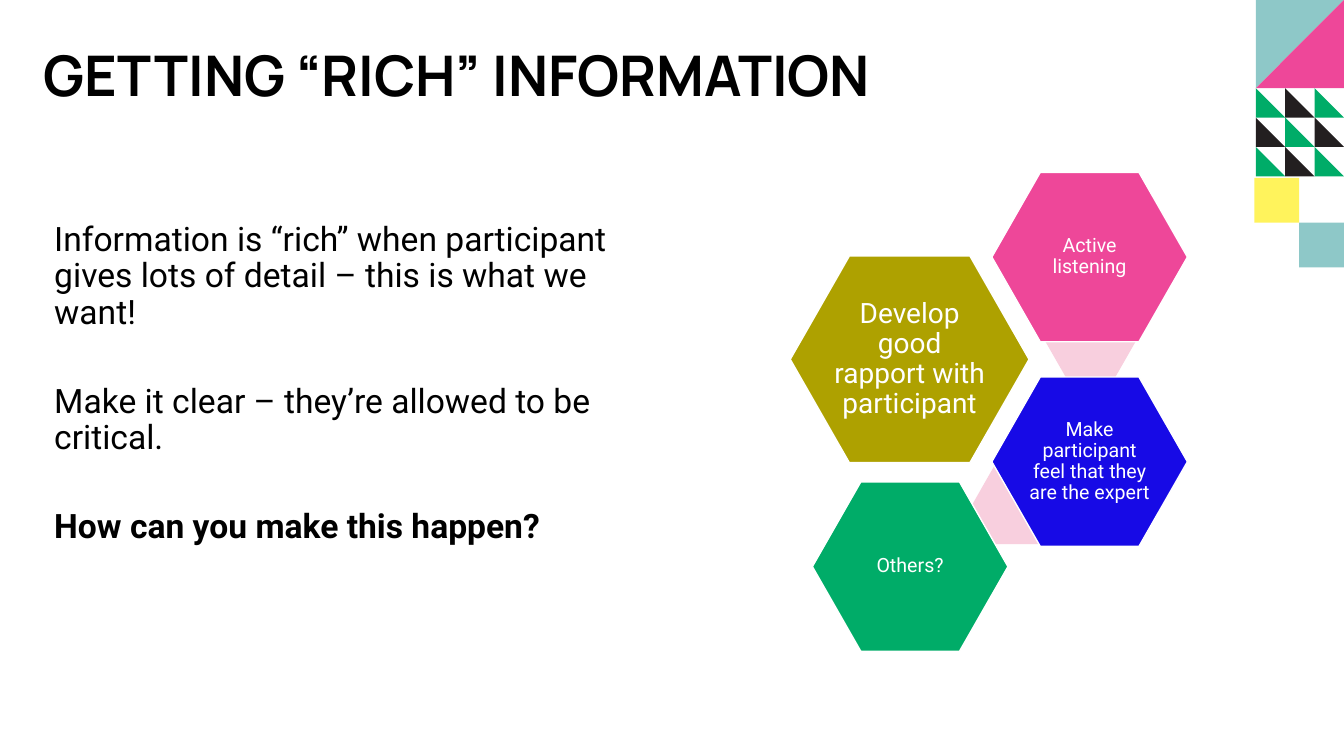
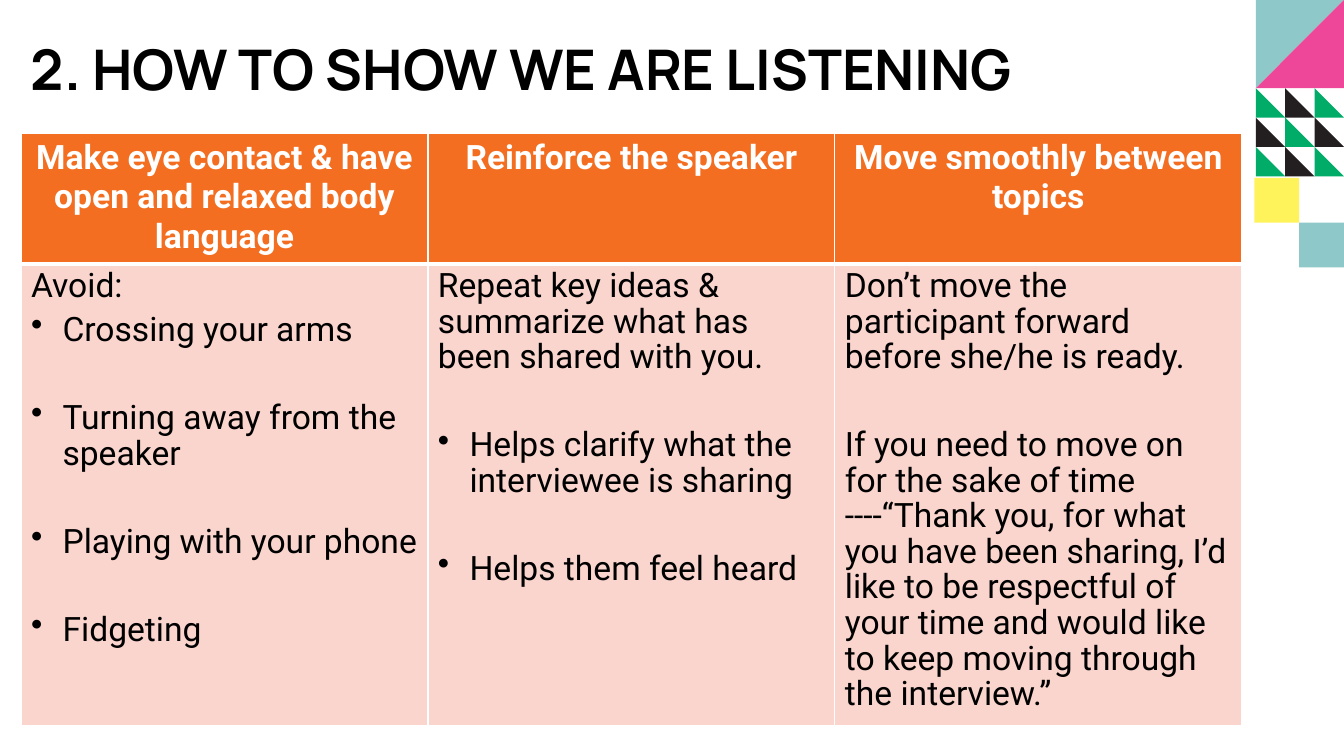
from itertools import product

from lxml import etree
from pptx import Presentation
from pptx.dml.color import RGBColor
from pptx.enum.shapes import MSO_SHAPE
from pptx.enum.text import MSO_ANCHOR as ANCHOR, PP_ALIGN as ALIGN
from pptx.oxml.ns import qn
from pptx.util import Pt

BLACK = RGBColor(0x00, 0x00, 0x00)
WHITE = RGBColor(0xFF, 0xFF, 0xFF)
INK = RGBColor(0x23, 0x1F, 0x20)
TEAL = RGBColor(0x8E, 0xC8, 0xC8)
PINK = RGBColor(0xEE, 0x47, 0x99)
PALE_PINK = RGBColor(0xF8, 0xCF, 0xDE)
GREEN = RGBColor(0x00, 0xAC, 0x68)
YELLOW = RGBColor(0xFF, 0xF3, 0x5C)
OLIVE = RGBColor(0xAE, 0xA1, 0x00)
BLUE = RGBColor(0x17, 0x0A, 0xE6)
ORANGE = RGBColor(0xF3, 0x6E, 0x20)
PEACH = RGBColor(0xFA, 0xD5, 0xCD)

TITLE_FONT, BODY_FONT = "Manrope", "Roboto"
SLIDE_W, SLIDE_H = 960, 540
INDENT = 22.5
TIGHT, LOOSE = 5, 36.5  # space after a paragraph

# Each paragraph is (text, format that differs from its block)
BULLET = {"bullet": True}
RICH_TITLE = "GETTING “RICH” INFORMATION"
RICH_BODY = [
    ("Information is “rich” when participant gives lots of detail – this is what we want!", {}),
    ("Make it clear – they’re allowed to be critical.", {}),
    ("How can you make this happen?", {"bold": True}),
]
LARGE, SMALL, LINK = (170.6, 147.6), (139.7, 121), (64.8, 55.4)
# left, top, size, colour, text, text size; links lie under the hexagons
HEXAGONS = [
    (746.6, 216, LINK, PALE_PINK, None, None),
    (694.1, 333.4, LINK, PALE_PINK, None, None),
    (564.5, 182.9, LARGE, OLIVE, "Develop good rapport with participant", 20),
    (708.5, 123.1, SMALL, PINK, "Active listening", 14),
    (708.5, 269.3, SMALL, BLUE, "Make participant feel that they are the expert", 14),
    (580.3, 344.2, SMALL, GREEN, "Others?", 14),
]

LISTENING_TITLE = "2. HOW TO SHOW WE ARE LISTENING"
LISTENING = [
    ("Make eye contact & have open and relaxed body language", [
        ("Avoid:", {"after": TIGHT}),
        ("Crossing your arms", BULLET),
        ("Turning away from the speaker", BULLET),
        ("Playing with your phone", BULLET),
        ("Fidgeting", {"bullet": True, "after": TIGHT}),
    ]),
    ("Reinforce the speaker", [
        ("Repeat key ideas & summarize what has been shared with you.", {}),
        ("Helps clarify what the interviewee is sharing", BULLET),
        ("Helps them feel heard", {"bullet": True, "after": TIGHT}),
    ]),
    ("Move smoothly between topics", [
        ("Don’t move the participant forward before she/he is ready.", {}),
        ("If you need to move on for the sake of time ----“Thank you, for what you have "
         "been sharing, I’d like to be respectful of your time and would like to keep "
         "moving through the interview.”", {"after": TIGHT}),
    ]),
]
TABLE_LEFT, TABLE_TOP, TABLE_W = 15, 95, 872
ROW_HEIGHTS = (92.2, 317.5)


def write(p, text, size=24, font=BODY_FONT, color=BLACK, bold=False, align=ALIGN.LEFT,
          spacing=0.9, before=0, after=0, bullet=False):
    p.alignment, p.line_spacing = align, spacing
    p.space_before, p.space_after = Pt(before), Pt(after)
    if bullet:
        pPr = p._p.get_or_add_pPr()
        pPr.set("marL", str(Pt(INDENT)))
        pPr.set("indent", str(-Pt(INDENT)))
        etree.SubElement(pPr, qn("a:buChar")).set("char", "•")
    r = p.add_run()
    r.text = text
    r.font.name, r.font.size, r.font.bold = font, Pt(size), bold
    r.font.color.rgb = color


def write_body(tf, paragraphs):
    for i, (text, fmt) in enumerate(paragraphs):
        p = tf.add_paragraph() if i else tf.paragraphs[0]
        write(p, text, **{"before": 1, "after": LOOSE, **fmt})


def add_text_box(slide, x, y, w, h, anchor=ANCHOR.TOP):
    tf = slide.shapes.add_textbox(Pt(x), Pt(y), Pt(w), Pt(h)).text_frame
    tf.word_wrap, tf.vertical_anchor = True, anchor
    return tf


def paint(sp, color, line=None):
    sp.shadow.inherit = False
    sp.fill.solid()
    sp.fill.fore_color.rgb = color
    if line is None:
        sp.line.fill.background()
    else:
        sp.line.color.rgb, sp.line.width = line, Pt(1)


def add_polygon(slide, color, *points):
    builder = slide.shapes.build_freeform(*points[0], scale=Pt(1))
    builder.add_line_segments(points[1:], close=True)
    paint(builder.convert_to_shape(), color)


def add_corner_pattern(slide):
    side, cell, square = 63, 21, 32
    left, right = SLIDE_W - side, SLIDE_W
    add_polygon(slide, TEAL, (left, 0), (left, side), (right, 0))
    add_polygon(slide, PINK, (left, side), (right, side), (right, 0))
    for row, col in product(range(3), repeat=2):
        x, y = left + col * cell, side + row * cell
        color = INK if (row + col) % 2 else GREEN
        add_polygon(slide, color, (x, y), (x, y + cell), (x + cell, y + cell))
    for i, color in enumerate((YELLOW, TEAL)):
        x, y = right - (2 - i) * square, 2 * side + 1 + i * square
        sp = slide.shapes.add_shape(MSO_SHAPE.RECTANGLE, Pt(x), Pt(y), Pt(square), Pt(square))
        paint(sp, color)


def add_slide(prs, title, x, y, w, h):
    slide = prs.slides.add_slide(prs.slide_layouts[6])
    add_corner_pattern(slide)
    tf = add_text_box(slide, x, y, w, h, ANCHOR.BOTTOM)
    write(tf.paragraphs[0], title, size=40, font=TITLE_FONT, bold=True)
    return slide


def add_hexagon(slide, x, y, size, color, text, text_size):
    w, h = size
    sp = slide.shapes.add_shape(MSO_SHAPE.HEXAGON, Pt(x), Pt(y), Pt(w), Pt(h))
    sp.adjustments[0] = 0.286
    paint(sp, color, WHITE if text else None)
    if text:
        tf = sp.text_frame
        tf.word_wrap, tf.vertical_anchor = True, ANCHOR.MIDDLE
        tf.margin_left = tf.margin_right = tf.margin_top = tf.margin_bottom = Pt(2)
        write(tf.paragraphs[0], text, size=text_size, color=WHITE, align=ALIGN.CENTER)


def style_cell(cell, color, top, bottom):
    """Border the cell in white, then fill it: the XML needs this order."""
    tcPr = cell._tc.get_or_add_tcPr()
    for edge, width in (("L", 1), ("R", 1), ("T", top), ("B", bottom)):
        ln = etree.SubElement(tcPr, qn(f"a:ln{edge}"), w=str(Pt(width)))
        fill = etree.SubElement(ln, qn("a:solidFill"))
        etree.SubElement(fill, qn("a:srgbClr"), val=str(WHITE))
    cell.fill.solid()
    cell.fill.fore_color.rgb = color


def add_listening_table(slide):
    table = slide.shapes.add_table(2, len(LISTENING), Pt(TABLE_LEFT), Pt(TABLE_TOP),
                                   Pt(TABLE_W), Pt(sum(ROW_HEIGHTS))).table
    table.horz_banding = False
    for row, height in zip(table.rows, ROW_HEIGHTS):
        row.height = Pt(height)
    for col, (heading, paragraphs) in enumerate(LISTENING):
        table.columns[col].width = Pt(TABLE_W / len(LISTENING))
        head, body = table.cell(0, col), table.cell(1, col)
        style_cell(head, ORANGE, top=1, bottom=3)
        style_cell(body, PEACH, top=3, bottom=1)
        write(head.text_frame.paragraphs[0], heading, color=WHITE, bold=True,
              align=ALIGN.CENTER, spacing=1.0)
        write_body(body.text_frame, paragraphs)


def main():
    prs = Presentation()
    prs.slide_width, prs.slide_height = Pt(SLIDE_W), Pt(SLIDE_H)

    slide = add_slide(prs, RICH_TITLE, 24, 26, 780, 55.5)
    write_body(add_text_box(slide, 31.7, 155.5, 448.5, 337.7), RICH_BODY)
    for hexagon in HEXAGONS:
        add_hexagon(slide, *hexagon)

    slide = add_slide(prs, LISTENING_TITLE, 15, 14.5, 752, 62.5)
    add_listening_table(slide)

    prs.save("out.pptx")


if __name__ == "__main__":
    main()
